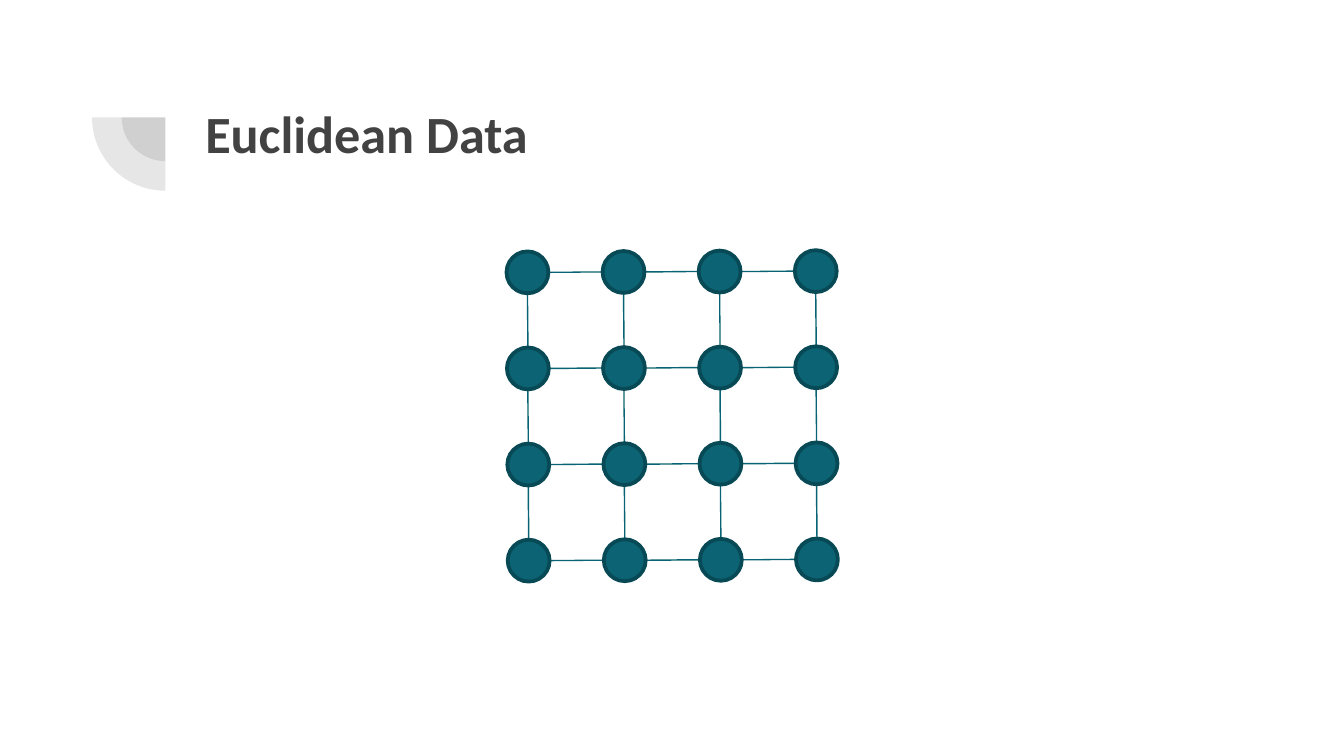
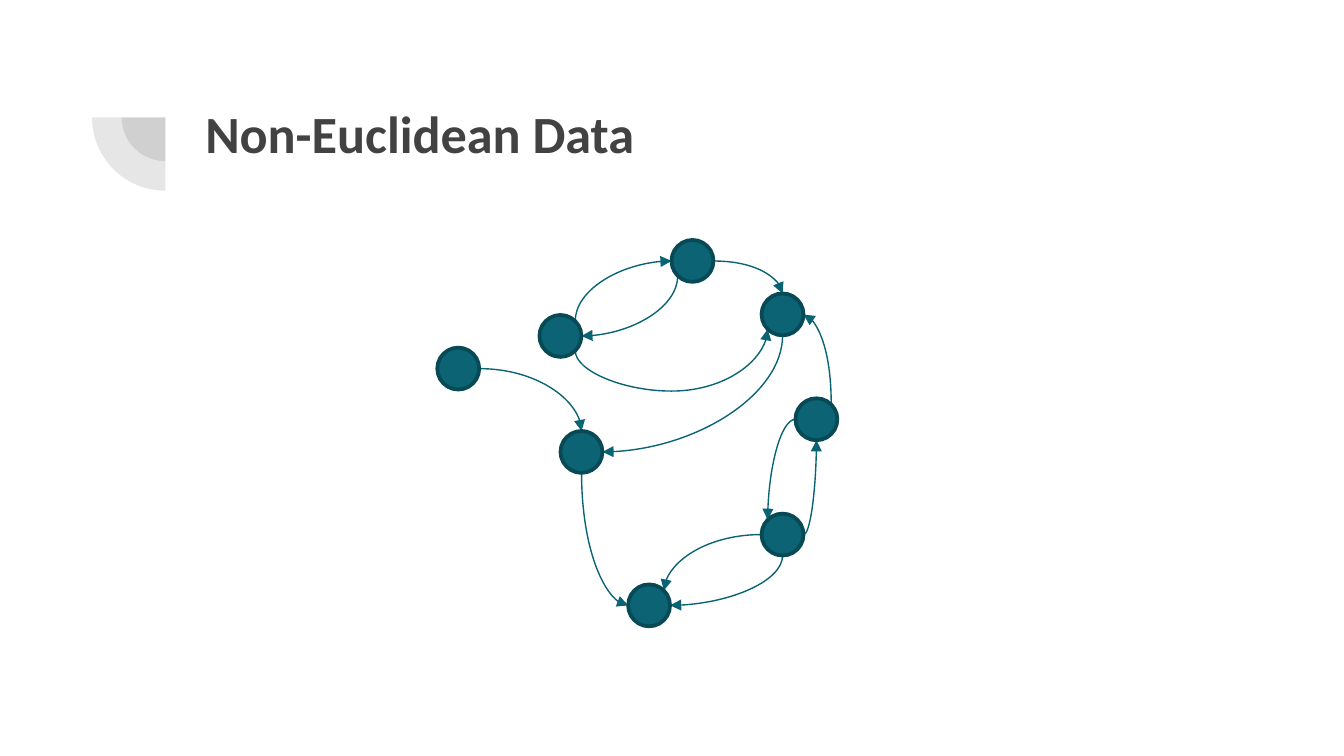
from itertools import product
from math import cos, radians, sin

from lxml import etree
from pptx import Presentation
from pptx.dml.color import RGBColor
from pptx.enum.shapes import MSO_CONNECTOR, MSO_SHAPE
from pptx.enum.text import MSO_ANCHOR, MSO_AUTO_SIZE, PP_ALIGN
from pptx.oxml.ns import qn
from pptx.util import Inches, Pt

CURVE = MSO_CONNECTOR.CURVE
OVAL, PIE = MSO_SHAPE.OVAL, MSO_SHAPE.PIE
TOP, LEFT, FIXED = MSO_ANCHOR.TOP, PP_ALIGN.LEFT, MSO_AUTO_SIZE.NONE

COLORS = {"ink": "424242", "node": "0B6374", "rim": "084956", "edge": "086374"}
FONT = "Calibri"
WIDTH = Inches(10)
HEIGHT = WIDTH * 9 // 16
COLS = 100
TITLE_ONLY = 5
NODE = 3.12
SITES = {name: radians(45 * i) for i, name in enumerate("N NE E SE S SW W NW".split())}


class Deck:
    """Holds the style and the current slide, measured in square grid cells."""

    def __init__(self):
        self.prs = Presentation()
        self.prs.slide_width, self.prs.slide_height = WIDTH, HEIGHT
        self.cell = WIDTH / COLS
        self.slide = None

    def size(self, *cells):
        """Turn grid cells into lengths."""
        return [round(n * self.cell) for n in cells]

    def color(self, name):
        """Look up a colour by name."""
        return RGBColor.from_string(COLORS[name])

    def page(self, title):
        """Start a slide with its corner mark and title."""
        self.slide = self.prs.slides.add_slide(self.prs.slide_layouts[TITLE_ONLY])
        for width in (6.5, 10.9):
            self.wedge(12.3, 8.74, width)
        self.title(title)

    def disc(self, kind, x, y, width, fill):
        """Add a filled round shape about a centre."""
        box = self.size(x - width / 2, y - width / 2, width, width)
        shape = self.slide.shapes.add_shape(kind, *box)
        shape.shadow.inherit = False
        shape.fill.solid()
        shape.fill.fore_color.rgb = self.color(fill)
        return shape

    def wedge(self, x, y, width):
        """Add a faint quarter disc."""
        shape = self.disc(PIE, x, y, width, "ink")
        shape.adjustments[0], shape.adjustments[1] = 108, 162
        shape.rotation = 270
        shape.line.fill.background()
        tint = shape.element.spPr.find(qn("a:solidFill"))[0]
        etree.SubElement(tint, qn("a:alpha"), val="13000")

    def title(self, text):
        """Fill and format the title placeholder."""
        shape = self.slide.shapes.title
        shape.left, shape.top, shape.width, shape.height = self.size(14.27, 6.5, 76.9, 10.9)
        frame = shape.text_frame
        frame.text = text
        frame.word_wrap, frame.auto_size = True, FIXED
        frame.vertical_anchor = TOP
        frame.margin_left = frame.margin_right = Inches(0.1)
        frame.margin_top = frame.margin_bottom = Inches(0.1)
        line = frame.paragraphs[0]
        line.alignment = LEFT
        font = line.runs[0].font
        font.name, font.size, font.bold = FONT, Pt(28), True
        font.color.rgb = self.color("ink")

    def node(self, x, y):
        """Add a graph node about a centre."""
        shape = self.disc(OVAL, x, y, NODE, "node")
        shape.line.color.rgb = self.color("rim")
        shape.line.width = Pt(2)

    def curve(self, start, end, down, preset="curvedConnector3", bend=None):
        """Add a curved arrow that leaves downwards or sideways."""
        (x1, y1), (x2, y2) = start, end
        if down:
            mid_x, mid_y = (x1 + x2) / 2, (y1 + y2) / 2
            half_w, half_h = (y2 - y1) / 2, (x1 - x2) / 2
            x1, x2 = mid_x - half_w, mid_x + half_w
            y1, y2 = mid_y - half_h, mid_y + half_h
        link = self.slide.shapes.add_connector(CURVE, *self.size(x1, y1, x2, y2))
        link.line.color.rgb = self.color("edge")
        link.line.width = Pt(0.75)
        props = link.element.spPr
        if down:
            props.find(qn("a:xfrm")).set("rot", "5400000")
        shape = props.find(qn("a:prstGeom"))
        shape.set("prst", preset)
        if bend is not None:
            rule = f"val {round(bend * 100000)}"
            etree.SubElement(shape.find(qn("a:avLst")), qn("a:gd"), name="adj1", fmla=rule)
        etree.SubElement(props.find(qn("a:ln")), qn("a:tailEnd"), type="triangle")
        etree.SubElement(props, qn("a:effectLst"))


def site(center, name):
    """Find a point on the rim of a node."""
    x, y = center
    turn = SITES[name]
    return x + NODE / 2 * sin(turn), y - NODE / 2 * cos(turn)


def lattice(deck):
    """Draw the regular, very slightly tilted grid of nodes."""
    deck.page("Euclidean Data")
    count, pitch, tilt, left, top = 4, 7.15, 0.03, 39.25, 20.27
    spots = {(c, r): (left + c * pitch + r * tilt, top + r * pitch - c * tilt)
             for c, r in product(range(count), repeat=2)}
    for (c, r), spot in spots.items():
        for near, down in (((c, r + 1), True), ((c + 1, r), False)):
            if near in spots:
                deck.curve(spot, spots[near], down)
    for spot in spots.values():
        deck.node(*spot)


def network(deck):
    """Draw the irregular directed graph."""
    deck.page("Non-Euclidean Data")
    spots = {
        "west": (34.1, 27.43), "upper": (41.7, 25), "mid": (43.27, 33.63),
        "top": (51.53, 19.42), "base": (48.3, 45.05), "hub": (58.23, 23.4),
        "low": (58.23, 39.78), "east": (60.75, 31.2),
    }
    edges = [
        ("west", "E", "mid", "N"), ("mid", "S", "base", "W"),
        ("upper", "NE", "top", "W"), ("hub", "S", "mid", "E"),
        ("low", "W", "base", "NE"), ("top", "SW", "upper", "E"),
        ("low", "S", "base", "E"), ("east", "W", "low", "NW"),
        ("low", "E", "east", "S"), ("top", "E", "hub", "N"),
        ("east", "NE", "hub", "E"),
    ]
    for source, leave, target, enter in edges:
        deck.curve(site(spots[source], leave), site(spots[target], enter),
                   leave not in ("E", "W"), "curvedConnector2")
    deck.curve(site(spots["upper"], "SE"), site(spots["hub"], "SW"), True, bend=-1.88)
    for spot in spots.values():
        deck.node(*spot)


def main():
    """Build and save both slides."""
    deck = Deck()
    lattice(deck)
    network(deck)
    deck.prs.save("out.pptx")


if __name__ == "__main__":
    main()
